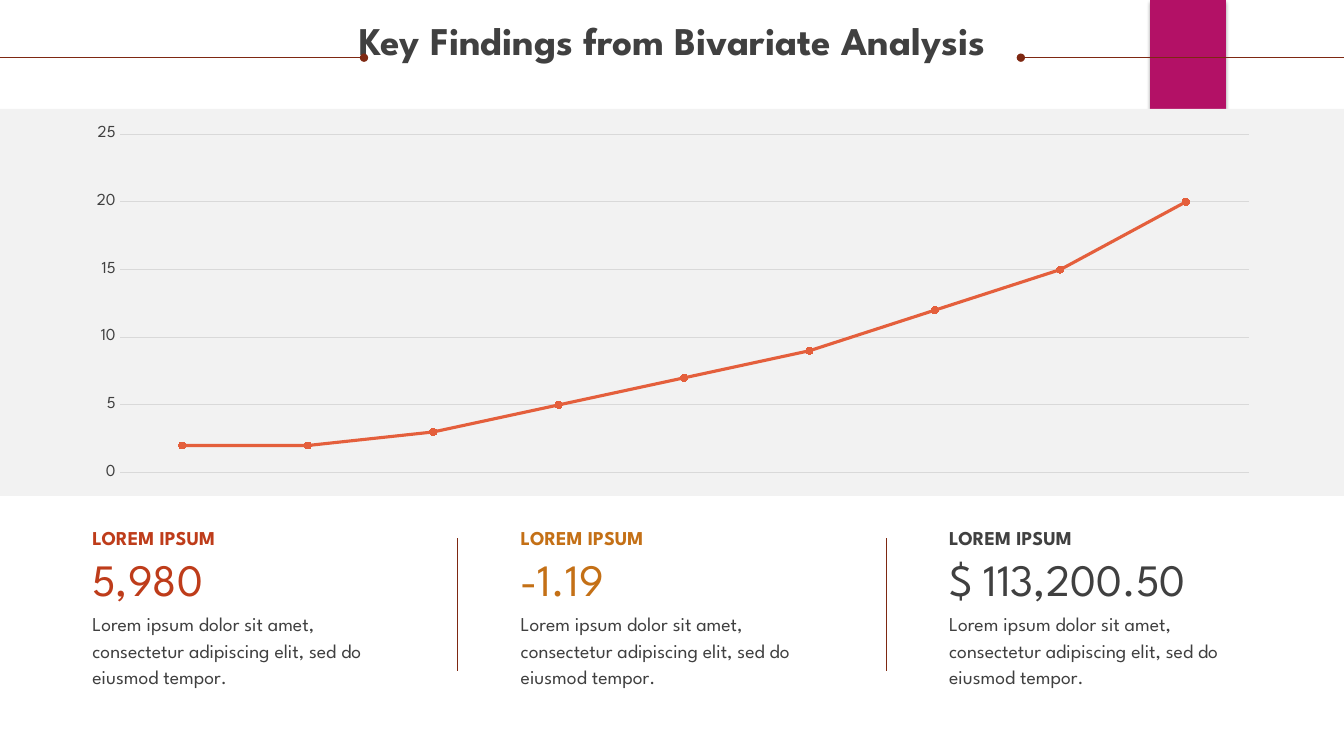
from dataclasses import dataclass

from lxml.etree import SubElement
from pptx import Presentation
from pptx.chart.data import CategoryChartData
from pptx.dml.color import RGBColor
from pptx.enum.chart import XL_CHART_TYPE, XL_LEGEND_POSITION, XL_MARKER_STYLE, XL_TICK_MARK
from pptx.enum.dml import MSO_LINE
from pptx.enum.shapes import MSO_CONNECTOR, MSO_SHAPE
from pptx.enum.text import MSO_AUTO_SIZE, PP_ALIGN
from pptx.oxml.ns import qn
from pptx.util import Pt

TITLE = "Key Findings from Bivariate Analysis"
CATEGORIES = ["1", "2", "3", "4"]
SERIES = ("Series 1", [2, 2, 3, 5, 7, 9, 12, 15, 20])
DESCRIPTION = "Lorem ipsum dolor sit amet, consectetur adipiscing elit, sed do eiusmod tempor."
FINDINGS = [
    ("LOREM IPSUM", "5,980", "BE3C1A"),
    ("LOREM IPSUM", "-1.19", "C47016"),
    ("LOREM IPSUM", "$ 113,200.50", "404040"),
]


@dataclass(frozen=True)
class Theme:
    font: str = "League Spartan"
    text: str = "404040"
    rule: str = "7E2812"
    tab: str = "B31166"
    band: str = "F2F2F2"
    grid: str = "D9D9D9"
    trend: str = "E45F3C"
    title_size: int = 28
    figure_size: int = 32
    body_size: int = 14
    axis_size: int = 12
    body_leading: int = 19


THEME = Theme()
WIDTH, HEIGHT = 960, 540
RULE_Y = 41.2
COLUMN_LEFT, COLUMN_STEP, COLUMN_WIDTH = 66, 306, 216
DIVIDER_LEFT, DIVIDER_TOP, DIVIDER_BOTTOM = 327, 384.3, 479.5


def rgb(code):
    return RGBColor.from_string(code)


def style_font(font, size, color, bold=False):
    font.name = THEME.font
    font.size = Pt(size)
    font.bold = bold
    font.color.rgb = rgb(color)


def add_block(slide, left, top, width, height, color):
    block = slide.shapes.add_shape(
        MSO_SHAPE.RECTANGLE, Pt(left), Pt(top), Pt(width), Pt(height))
    block.shadow.inherit = False
    block.fill.solid()
    block.fill.fore_color.rgb = rgb(color)
    block.line.fill.background()
    return block


def add_drop_shadow(block):
    effects = block._element.spPr.find(qn("a:effectLst"))
    shadow = SubElement(effects, qn("a:outerShdw"), blurRad=str(Pt(3)), dist=str(Pt(2)),
                        dir="5400000", algn="ctr", rotWithShape="0")
    shade = SubElement(shadow, qn("a:srgbClr"), val="000000")
    SubElement(shade, qn("a:alpha"), val="45000")


def add_rule(slide, start, end, dot=None):
    """Draw a thin line; dot is headEnd or tailEnd, the end that carries a dot."""
    rule = slide.shapes.add_connector(
        MSO_CONNECTOR.STRAIGHT, *(Pt(length) for length in (*start, *end)))
    rule.line.color.rgb = rgb(THEME.rule)
    rule.line.width = Pt(0.75)
    if dot:
        SubElement(rule.line._get_or_add_ln(), qn(f"a:{dot}"), type="oval")
    SubElement(rule._element.spPr, qn("a:effectLst"))


def add_text(slide, text, left, top, width, height, size, color,
             bold=False, leading=None, align=PP_ALIGN.LEFT):
    box = slide.shapes.add_textbox(Pt(left), Pt(top), Pt(width), Pt(height))
    frame = box.text_frame
    frame.margin_left = frame.margin_top = frame.margin_right = frame.margin_bottom = 0
    frame.word_wrap = True
    frame.auto_size = MSO_AUTO_SIZE.SHAPE_TO_FIT_TEXT
    frame.text = text
    paragraph = frame.paragraphs[0]
    paragraph.alignment = align
    paragraph.line_spacing = leading
    style_font(paragraph.runs[0].font, size, color, bold)


def add_trend_chart(slide):
    trend_data = CategoryChartData()
    trend_data.categories = CATEGORIES
    trend_data.add_series(*SERIES)
    chart = slide.shapes.add_chart(
        XL_CHART_TYPE.LINE_MARKERS, Pt(52), Pt(85), Pt(857), Pt(263.5), trend_data).chart
    chart.has_title = False
    chart.has_legend = False
    style_font(chart.font, THEME.axis_size, THEME.text)
    chart.category_axis.visible = False

    scale = chart.value_axis
    scale.minimum_scale, scale.maximum_scale, scale.major_unit = 0, 25, 5
    scale.major_tick_mark = scale.minor_tick_mark = XL_TICK_MARK.NONE
    scale.format.line.fill.background()
    scale.major_gridlines.format.line.color.rgb = rgb(THEME.grid)
    scale.major_gridlines.format.line.width = Pt(0.75)
    style_font(scale.tick_labels.font, THEME.axis_size, THEME.text)

    chart.plots[0].vary_by_categories = False
    trend = chart.plots[0].series[0]
    trend.smooth = False
    trend.format.line.color.rgb = rgb(THEME.trend)
    trend.format.line.width = Pt(2.25)
    trend.marker.style = XL_MARKER_STYLE.CIRCLE
    trend.marker.size = 5
    trend.marker.format.fill.solid()
    trend.marker.format.fill.fore_color.rgb = rgb(THEME.trend)
    trend.marker.format.line.color.rgb = rgb(THEME.trend)


def add_finding(slide, column, label, figure, color):
    left = COLUMN_LEFT + column * COLUMN_STEP
    leading = Pt(THEME.body_leading)
    add_text(slide, label, left, 373.5, COLUMN_WIDTH, 17.5,
             THEME.body_size, color, bold=True, leading=leading)
    add_text(slide, figure, left, 393.8, COLUMN_WIDTH, 38.8, THEME.figure_size, color)
    add_text(slide, DESCRIPTION, left, 434.9, COLUMN_WIDTH, 56,
             THEME.body_size, THEME.text, leading=leading)


def main():
    deck = Presentation()
    deck.slide_width, deck.slide_height = Pt(WIDTH), Pt(HEIGHT)
    slide = deck.slides.add_slide(deck.slide_layouts[6])

    add_drop_shadow(add_block(slide, 821.6, 0, 54, 90, THEME.tab))
    add_block(slide, 0, 77.8, WIDTH, 276.5, THEME.band)
    add_rule(slide, (729.2, RULE_Y), (WIDTH, RULE_Y), dot="headEnd")
    add_text(slide, TITLE, 18, 15.1, WIDTH - 2 * 18, 30.2, THEME.title_size, THEME.text,
             bold=True, leading=0.9, align=PP_ALIGN.CENTER)
    add_rule(slide, (0, RULE_Y), (260, RULE_Y), dot="tailEnd")
    add_trend_chart(slide)

    for gap in range(len(FINDINGS) - 1):
        x = DIVIDER_LEFT + gap * COLUMN_STEP
        add_rule(slide, (x, DIVIDER_TOP), (x, DIVIDER_BOTTOM))
    for column, finding in enumerate(FINDINGS):
        add_finding(slide, column, *finding)

    deck.save("out.pptx")


if __name__ == "__main__":
    main()
